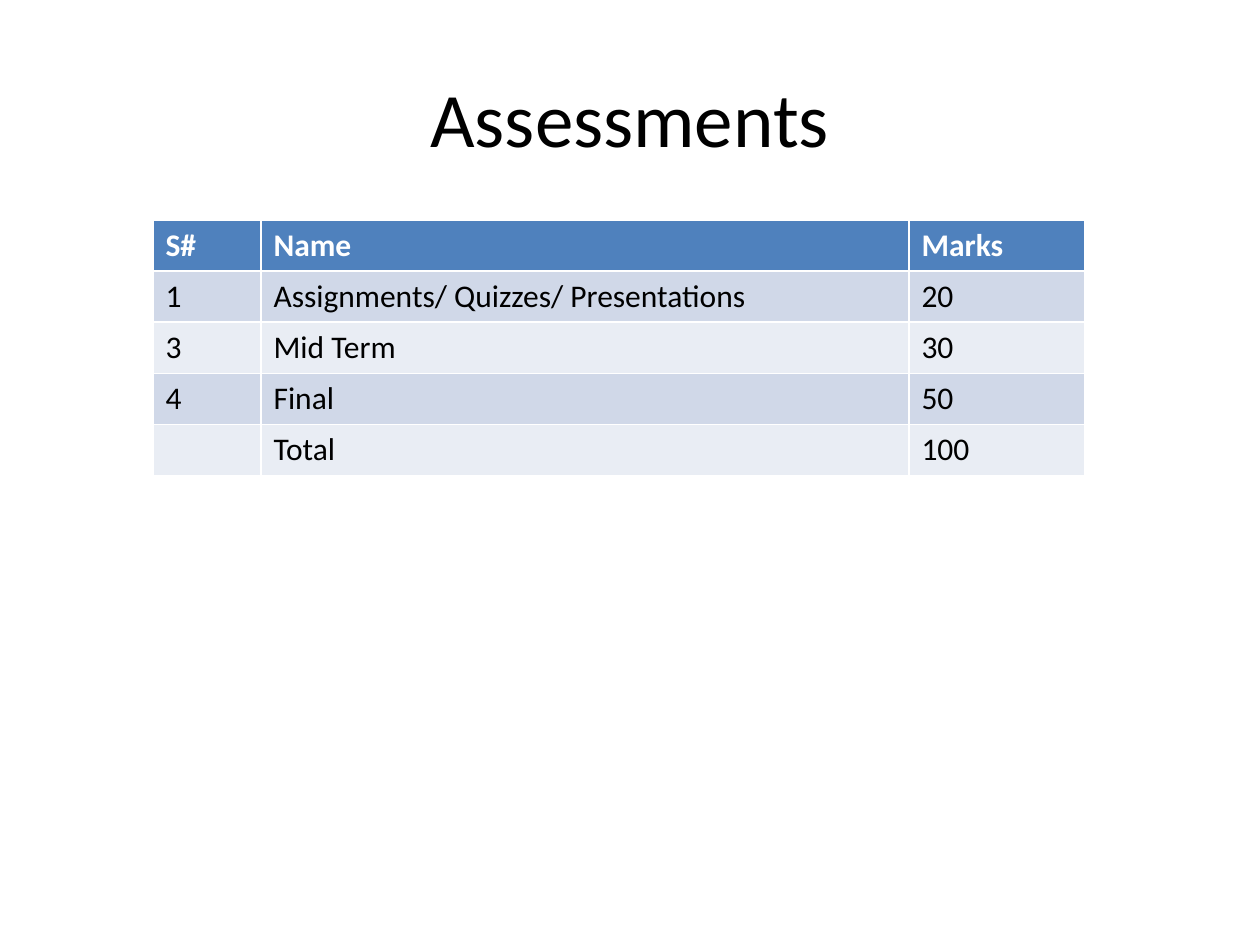
import pptx
import pptx.util
import pptx.dml.color
import pptx.enum.text

TITLE = "Assessments"
ROWS = [
    ("S#", "Name", "Marks"),
    ("1", "Assignments/ Quizzes/ Presentations", "20"),
    ("3", "Mid Term", "30"),
    ("4", "Final", "50"),
    ("", "Total", "100"),
]
COLS = [108, 648, 176]
ROW = 51
INK = {"head": "4F81BD", "odd": "D0D8E8", "even": "E9EDF4",
       "white": "FFFFFF", "black": "000000"}
FONT = "Calibri"


def px(n):
    return pptx.util.Emu(round(n * 914400 / 126))


def tint(name):
    return pptx.dml.color.RGBColor.from_string(INK[name])


def write(frame, text, size, color, bold=False):
    run = frame.paragraphs[0].add_run()
    run.text = text
    run.font.name = FONT
    run.font.size = pptx.util.Pt(size)
    run.font.bold = bold
    run.font.color.rgb = tint(color)


def main():
    deck = pptx.Presentation()
    deck.slide_width, deck.slide_height = px(1260), px(945)
    slide = deck.slides.add_slide(deck.slide_layouts[5])

    title = slide.shapes.title
    title.left, title.top, title.width, title.height = map(px, (63, 38, 1134, 157))
    frame = title.text_frame
    frame.vertical_anchor = pptx.enum.text.MSO_ANCHOR.MIDDLE
    frame.paragraphs[0].alignment = pptx.enum.text.PP_ALIGN.CENTER
    write(frame, TITLE, 44, "black")

    table = slide.shapes.add_table(
        len(ROWS), len(COLS), px(153), px(220),
        px(sum(COLS)), px(ROW * len(ROWS))).table
    for col, width in zip(table.columns, COLS):
        col.width = px(width)
    for r, row in enumerate(ROWS):
        table.rows[r].height = px(ROW)
        head = r == 0
        fill = "head" if head else "odd" if r % 2 else "even"
        for c, text in enumerate(row):
            cell = table.cell(r, c)
            cell.fill.solid()
            cell.fill.fore_color.rgb = tint(fill)
            if text:
                write(cell.text_frame, text, 18,
                      "white" if head else "black", head)

    deck.save("out.pptx")


if __name__ == "__main__":
    main()
